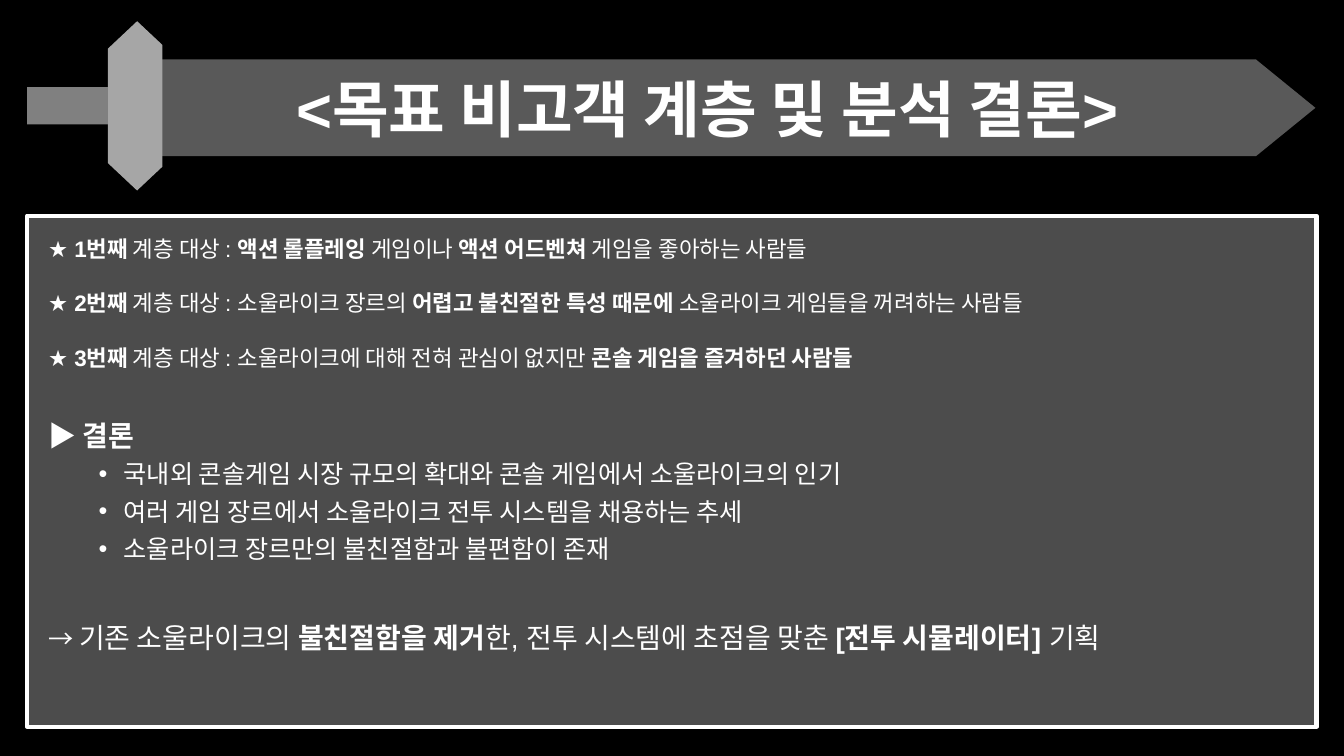
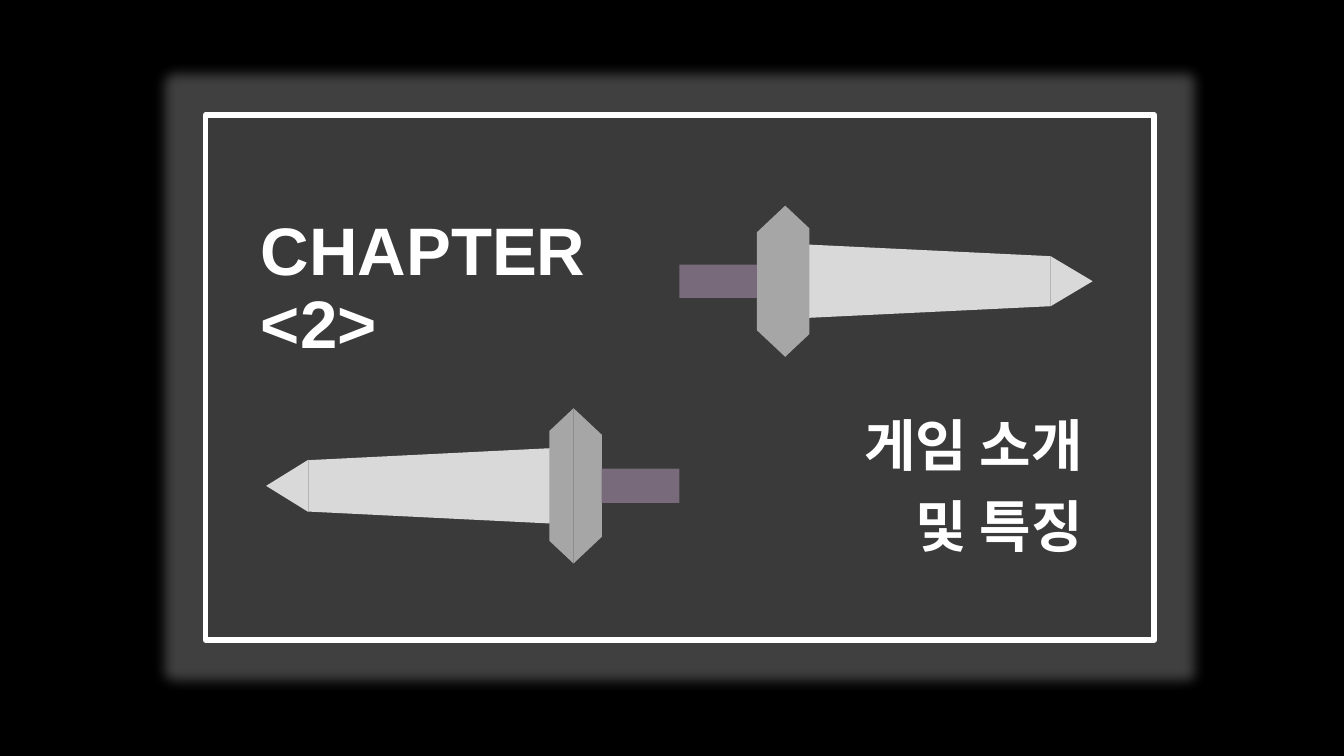
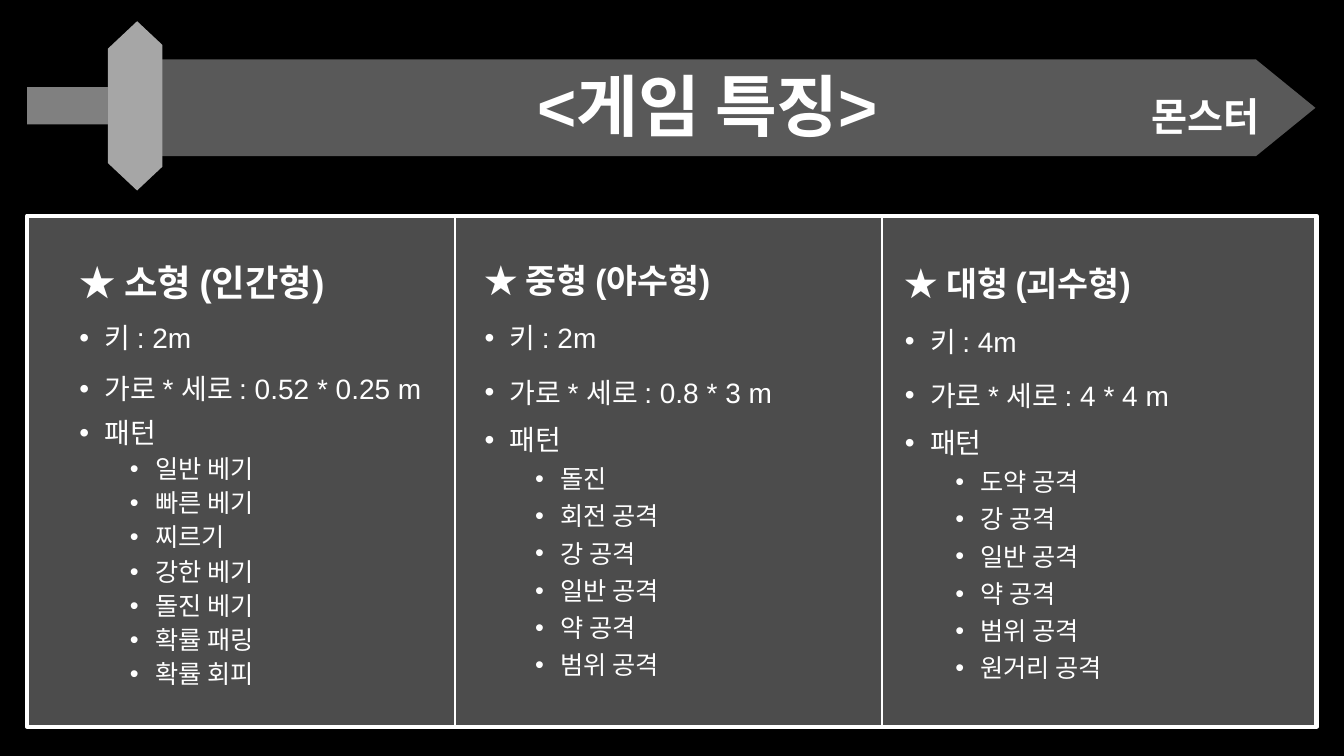
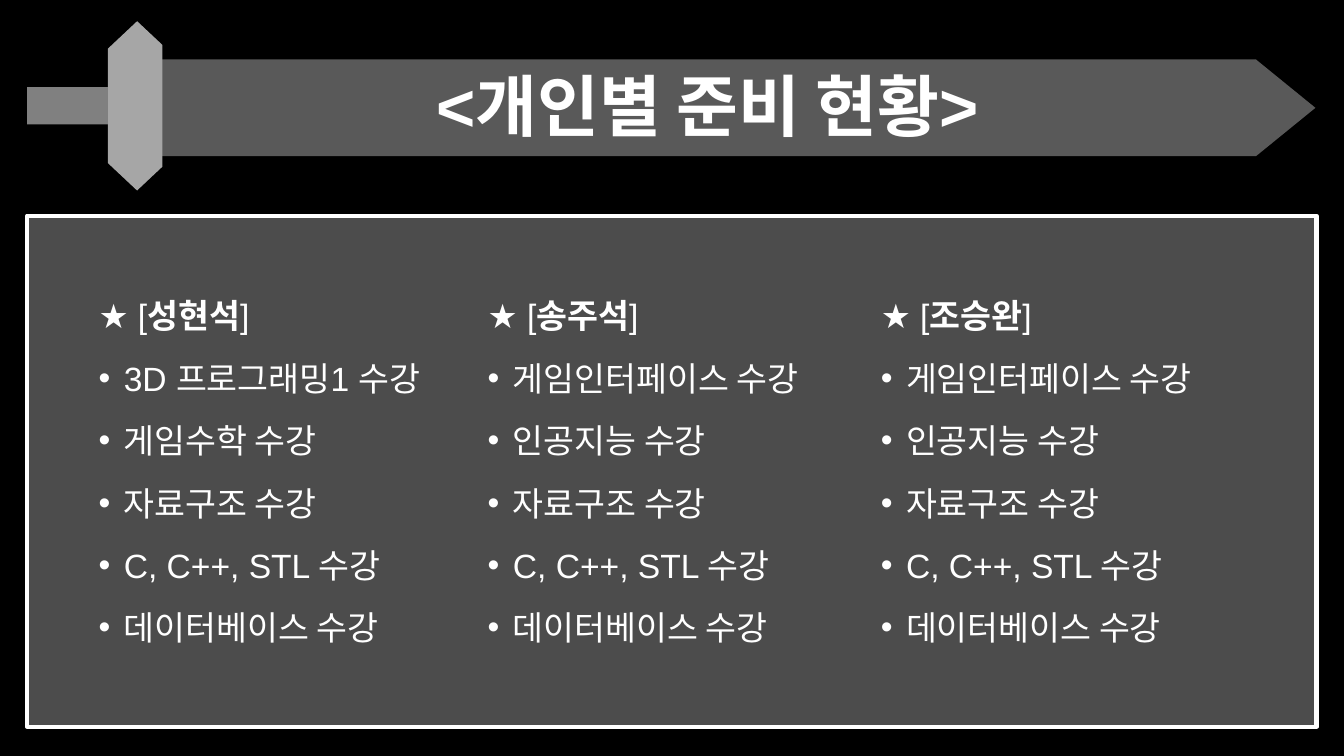
from pptx import Presentation
from pptx.dml.color import RGBColor
from pptx.enum.shapes import MSO_CONNECTOR, MSO_SHAPE
from pptx.enum.text import MSO_ANCHOR, PP_ALIGN
from pptx.oxml.ns import qn
from pptx.util import Emu, Pt
from lxml import etree

PX = 9144  # 100 px to the inch
WIDE, HIGH = Emu(12192000), Emu(6858000)
FONT = "Arial"

BLACK = RGBColor(0x00, 0x00, 0x00)
WHITE = RGBColor(0xFF, 0xFF, 0xFF)
GRAY = RGBColor(0x80, 0x80, 0x80)
DARK = RGBColor(0x26, 0x26, 0x26)
HALO = RGBColor(0x40, 0x40, 0x40)
STEEL = RGBColor(0x59, 0x59, 0x59)
GUARD = RGBColor(0xA6, 0xA6, 0xA6)
BLADE = RGBColor(0xD9, 0xD9, 0xD9)
GRIP = RGBColor(0x78, 0x69, 0x7B)

RECT, TRAP, TRI = MSO_SHAPE.RECTANGLE, MSO_SHAPE.TRAPEZOID, MSO_SHAPE.ISOSCELES_TRIANGLE
LEFT, MID, RIGHT = PP_ALIGN.LEFT, PP_ALIGN.CENTER, PP_ALIGN.RIGHT
TOP, LOW = MSO_ANCHOR.TOP, MSO_ANCHOR.BOTTOM
STRAIGHT = MSO_CONNECTOR.STRAIGHT

# Sword parts seen pointing right:
# shape, colour, start, length, height, drop, turn, slant
BANNER = [
    (TRAP, GUARD, 80, 29, 168, -2, 270, 0.94),
    (RECT, GRAY, 0, 80, 37, -2, 0, None),
    (RECT, STEEL, 131, 1088, 96, 0, 0, None),
    (TRAP, GUARD, 109, 25, 168, -2, 90, 0.94),
    (TRI, STEEL, 1219, 59, 96, 0, 90, None),
]
DAGGER = [
    (TRAP, GUARD, 77, 28, 150, 0, 270, 0.94),
    (RECT, GRIP, 0, 77, 33, 0, 0, None),
    (TRAP, BLADE, 125, 243, 73, 0, 90, 0.16),
    (TRAP, GUARD, 105, 24, 150, 0, 90, 0.94),
    (TRI, BLADE, 368, 42, 50, 0, 90, None),
]


class Deck:
    def __init__(self):
        self.prs = Presentation()
        self.prs.slide_width, self.prs.slide_height = WIDE, HIGH

    def page(self):
        self.slide = self.prs.slides.add_slide(self.prs.slide_layouts[6])
        fill = self.slide.background.fill
        fill.solid()
        fill.fore_color.rgb = BLACK

    def shape(self, kind, x, y, w, h, color, turn=0):
        """Add a shape whose box is given as seen after the turn."""
        if turn % 180:
            x, y, w, h = x + (w - h) / 2, y + (h - w) / 2, h, w
        box = [Emu(round(v * PX)) for v in (x, y, w, h)]
        shape = self.slide.shapes.add_shape(kind, *box)
        shape.rotation = turn
        shape.shadow.inherit = False
        shape.fill.solid()
        shape.fill.fore_color.rgb = color
        shape.line.fill.background()
        return shape

    def panel(self, x, y, w, h, color, alpha, width):
        shape = self.shape(RECT, x, y, w, h, color)
        shape.line.color.rgb = WHITE
        shape.line.width = Pt(width)
        tint = shape.fill._xPr.find(qn("a:solidFill"))[0]
        etree.SubElement(tint, qn("a:alpha"), val=str(alpha * 1000))
        return shape

    def glow(self, shape, color, size):
        effect = shape._element.spPr.find(qn("a:effectLst"))
        glow = etree.SubElement(effect, qn("a:glow"), rad=str(Pt(size)))
        etree.SubElement(glow, qn("a:srgbClr"), val=str(color))

    def sword(self, parts, x, mid, back=False, grow=1):
        """Draw a sword from its grip at x; back points it left."""
        for kind, color, start, w, h, drop, turn, slant in parts:
            h = round(h * grow)
            left = x - start - w if back else x + start
            if back and turn:
                turn = 360 - turn
            part = self.shape(kind, left, mid + drop - h / 2, w, h, color, turn)
            if slant is not None:
                part.adjustments[0] = slant

    def rule(self, x, top, end):
        line = self.slide.shapes.add_connector(
            STRAIGHT, x * PX, top * PX, x * PX, end * PX)
        line.line.color.rgb = WHITE
        line.line.width = Pt(1.5)
        etree.SubElement(line._element.spPr, qn("a:effectLst"))

    def text(self, x, y, w, h, lines, align=LEFT, anchor=TOP):
        """Add lines of (text, size, spacing, before, depth); | toggles bold."""
        box = self.slide.shapes.add_textbox(x * PX, y * PX, w * PX, h * PX)
        frame = box.text_frame
        frame.word_wrap = True
        frame.vertical_anchor = anchor
        for i, (text, size, space, before, depth) in enumerate(lines):
            para = frame.add_paragraph() if i else frame.paragraphs[0]
            para.alignment = align
            para.line_spacing = space
            para.space_before = Pt(before if i else 0)
            if depth:
                self.bullet(para, depth)
            for j, part in enumerate(text.split("|")):
                if part:
                    run = para.add_run()
                    run.text = part
                    font = run.font
                    font.name, font.size = FONT, Pt(size)
                    font.bold = j % 2 == 1
                    font.color.rgb = WHITE
        return frame

    def bullet(self, para, depth):
        para.level = depth - 1
        props = para._p.get_or_add_pPr()
        props.set("marL", str((50 * depth - 25) * PX))
        props.set("indent", str(-25 * PX))
        etree.SubElement(props, qn("a:buFont"), typeface=FONT)
        etree.SubElement(props, qn("a:buChar"), char="•")

    def board(self, title, size=48):
        """Start a page with the sword banner and the framed panel."""
        self.page()
        self.panel(27, 214, 1279, 507, GRAY, 60, 3)
        self.sword(BANNER, 27, 107)
        self.text(158, 59, 1088, 91, [("|" + title, size, 0.9, 0, 0)], MID, LOW)


def goals(deck):
    deck.board("<목표 비고객 계층 및 분석 결론>", 44)
    tiers = [
        "★ |1번째 |계층 대상 : |액션 롤플레잉 |게임이나 |액션 어드벤쳐 |게임을 좋아하는 사람들",
        "★ |2번째 |계층 대상 : 소울라이크 장르의 |어렵고 불친절한 특성 때문에 |소울라이크 게임들을 꺼려하는 사람들",
        "★ |3번째 |계층 대상 : 소울라이크에 대해 전혀 관심이 없지만 |콘솔 게임을 즐겨하던 사람들",
    ]
    points = [
        "국내외 콘솔게임 시장 규모의 확대와 콘솔 게임에서 소울라이크의 인기",
        "여러 게임 장르에서 소울라이크 전투 시스템을 채용하는 추세",
        "소울라이크 장르만의 불친절함과 불편함이 존재",
    ]
    end = "→ ||기존 소울라이크의 |불친절함을 제거|한, 전투 시스템에 초점을 맞춘 |[전투 시뮬레이터] |기획"
    lines = [(t, 16, 1.5, 10, 0) for t in tiers]
    lines.append(("▶ |결론", 20, 2.0, 10, 0))
    lines += [(t, 18, 1.0, 5, 2) for t in points]
    lines.append((end, 20, 1.0, 41, 0))
    frame = deck.text(38, 215, 1256, 514, lines)
    frame.paragraphs[-1].runs[0].font.size = Pt(18)


def chapter(deck):
    deck.page()
    panel = deck.panel(204, 114, 941, 521, DARK, 20, 4)
    deck.glow(panel, HALO, 18)
    deck.sword(DAGGER, 674, 279)
    deck.sword(DAGGER, 674, 482, True, 1.03)
    for y, name in ((403, "게임 소개"), (483, "및 특징")):
        deck.text(675, y, 409, 77, [("|" + name, 40, 0.9, 0, 0)], RIGHT, LOW)
    words = [("|" + t, 48, 0.9, 0, 0) for t in ("CHAPTER", "<2>")]
    deck.text(249, 191, 378, 174, words, anchor=LOW)


def beasts(deck):
    deck.board("<게임 특징>")
    deck.text(940, 63, 319, 65, [("|몬스터", 28, 1.5, 0, 0)], RIGHT)
    kinds = [
        (69, 214, 26, 0.9, "소형 (인간형)", "2m", "0.52 * 0.25 m",
         ["일반 베기", "빠른 베기", "찌르기", "강한 베기", "돌진 베기", "확률 패링", "확률 회피"]),
        (471, 213, 24, 1.0, "중형 (야수형)", "2m", "0.8 * 3 m",
         ["돌진", "회전 공격", "강 공격", "일반 공격", "약 공격", "범위 공격"]),
        (888, 216, 24, 1.0, "대형 (괴수형)", "4m", "4 * 4 m",
         ["도약 공격", "강 공격", "일반 공격", "약 공격", "범위 공격", "원거리 공격"]),
    ]
    for x, y, size, space, name, tall, area, moves in kinds:
        lines = [
            ("|★ " + name, size, space + 1, 0, 0),
            ("키 : " + tall, 20, space + 0.2, 10, 1),
            ("가로 * 세로 : " + area, 20, space + 0.2, 10, 1),
            ("패턴", 20, space, 10, 1),
        ]
        lines += [(t, 18, space, 5, 2) for t in moves]
        deck.text(x, y, 390, 507, lines)
    for x in (451, 875):
        deck.rule(x, 214, 721)


def study(deck):
    deck.board("<개인별 준비 현황>")
    shared = ["자료구조", "C, C++, STL", "데이터베이스"]
    design = ["게임인터페이스", "인공지능"]
    people = [
        (88, "성현석", ["3D 프로그래밍1", "게임수학"]),
        (474, "송주석", design),
        (864, "조승완", design),
    ]
    for x, name, own in people:
        lines = [(f"★ [|{name}|]", 24, 1.2, 0, 0)]
        lines += [(t + " 수강", 24, 1.2, 10, 1) for t in own + shared]
        deck.text(x, 280, 390, 415, lines)


def main():
    deck = Deck()
    for build in (goals, chapter, beasts, study):
        build(deck)
    deck.prs.save("out.pptx")


if __name__ == "__main__":
    main()
